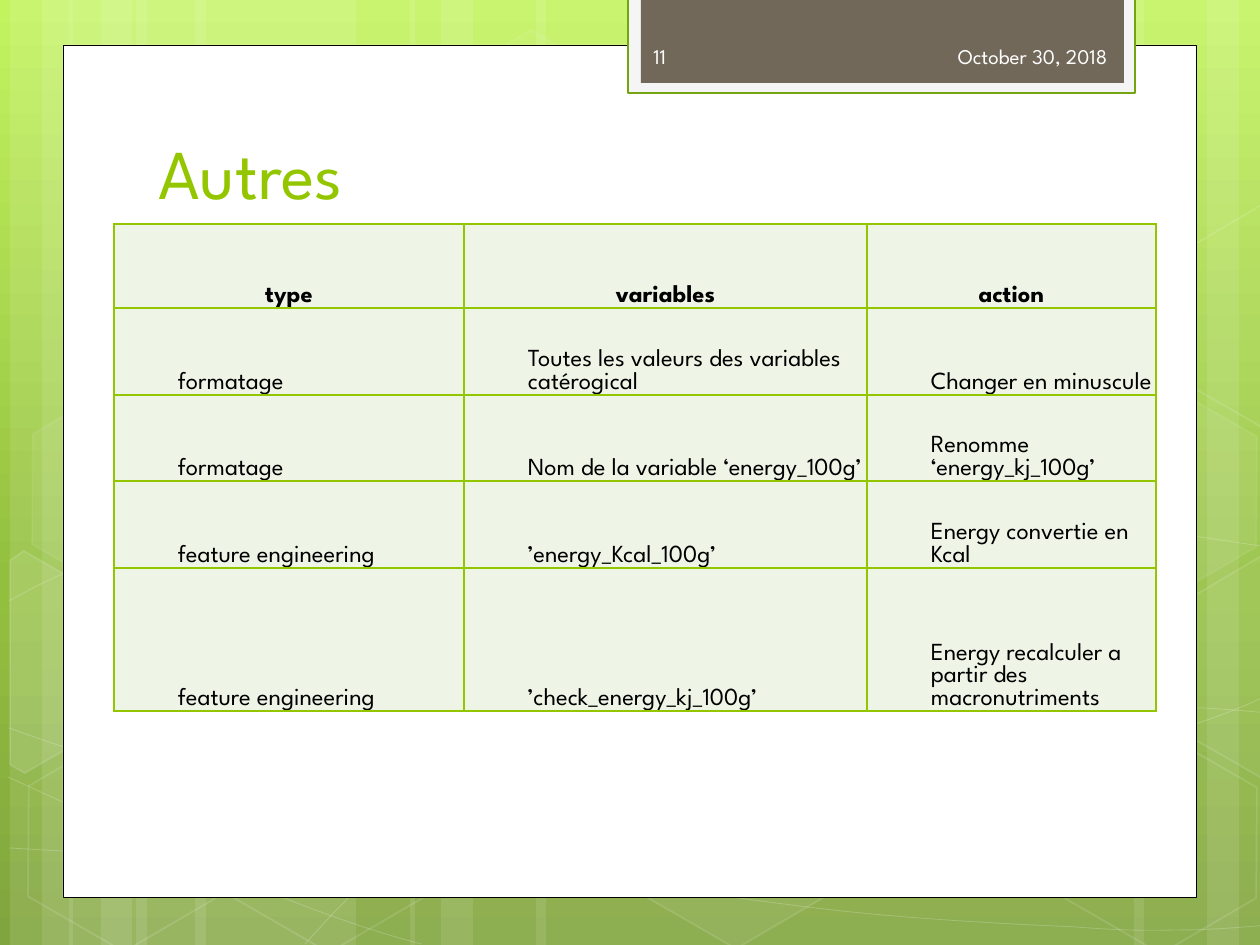
import copy

import pptx
import pptx.dml.color
import pptx.enum.shapes
import pptx.enum.text
import pptx.oxml
import pptx.oxml.ns
import pptx.util

PX = 7257  # EMU in one px, at 126 px to the inch
FONT = "League Spartan"
WHITE, GREEN = "FFFFFF", "94C600"
SHAPE = pptx.enum.shapes.MSO_SHAPE
ALIGN = pptx.enum.text.PP_ALIGN
ANCHOR = pptx.enum.text.MSO_ANCHOR


def paint(shape, fill=None, fill_alpha=100, line=None, width=1, line_alpha=100):
    """Set fill and outline; alphas are percentages of opacity."""
    shape.shadow.inherit = False
    for part, color, alpha in ((shape.fill, fill, fill_alpha),
                               (shape.line.fill, line, line_alpha)):
        if color is None:
            part.background()
            continue
        part.solid()
        part.fore_color.rgb = pptx.dml.color.RGBColor.from_string(color)
        if alpha < 100:
            holder = shape._element.spPr
            if part is not shape.fill:
                holder = holder.find(pptx.oxml.ns.qn("a:ln"))
            color_element = holder.find(pptx.oxml.ns.qn("a:solidFill"))[0]
            color_element.append(pptx.oxml.parse_xml(
                f'<a:alpha {pptx.oxml.ns.nsdecls("a")} val="{alpha * 1000}"/>'))
    if line:
        shape.line.width = pptx.util.Pt(width)


def write(paragraph, text, size, color, align=ALIGN.LEFT, bold=False):
    paragraph.alignment = align
    run = paragraph.add_run()
    run.text = text
    run.font.name = FONT
    run.font.size = pptx.util.Pt(size)
    run.font.bold = bold
    run.font.color.rgb = pptx.dml.color.RGBColor.from_string(color)


presentation = pptx.Presentation()
presentation.slide_width = 1260 * PX
presentation.slide_height = 945 * PX
slide = presentation.slides.add_slide(presentation.slide_layouts[6])
shapes = slide.shapes

# Background gradient, top to bottom
background = slide.background.fill
background.gradient()
background.gradient_angle = 270
stop_list = next(slide.element.iter(pptx.oxml.ns.qn("a:gsLst")))
stop_list.insert(1, copy.deepcopy(stop_list[0]))
gradient = [(0, "C3F35F"), (0.62, "93BF3F"), (1, "81A53E")]
for stop, (position, color) in zip(background.gradient_stops, gradient):
    stop.position = position
    stop.color.rgb = pptx.dml.color.RGBColor.from_string(color)

# Translucent vertical bands: left, width, rotation
bands = [(136, 220, 0), (10, 63, 0), (42, 105, 0), (195, 220, 0), (69, 63, 0),
         (101, 105, 0), (924, 220, 180), (1207, 63, 180), (1134, 105, 180),
         (536, 388, 0), (410, 63, 0), (441, 105, 0)]
for left, width, rotation in bands:
    band = shapes.add_shape(SHAPE.RECTANGLE, left * PX, 0, width * PX, 945 * PX)
    band.rotation = rotation
    paint(band, WHITE, 10)

# Thin curves: a start point, then three Bezier points for each segment
curves = [
    [(9, 848), (77, 852), (145, 856), (239, 854), (334, 853), (451, 851), (577, 838),
     (703, 825), (882, 801), (998, 777), (1113, 753), (1231, 716), (1269, 694)],
    [(9, 601), (45, 581), (82, 562), (152, 543), (224, 524), (326, 496), (437, 488),
     (549, 479), (685, 478), (824, 488), (963, 498), (1193, 537), (1269, 547)],
    [(8, 777), (160, 847), (311, 916), (421, 944)],
    [(9, 728), (48, 742), (88, 756), (161, 776), (234, 795), (344, 827), (450, 848),
     (554, 869), (687, 892), (791, 905), (896, 919), (1008, 924), (1075, 927),
     (1140, 932), (1158, 930), (1191, 930), (1225, 929), (1246, 927), (1269, 925)],
    [(305, 944), (328, 919), (350, 893), (381, 871), (411, 848), (454, 823), (489, 805),
     (524, 788), (546, 780), (592, 767), (638, 754), (722, 737), (766, 728),
     (811, 719), (818, 719), (857, 717), (896, 713), (958, 709), (1000, 708),
     (1045, 707), (1116, 708), (1116, 708), (1144, 708), (1173, 708), (1201, 708),
     (1223, 709), (1245, 711), (1256, 712), (1268, 713), (1264, 712), (1268, 713)],
]
for points in curves:
    builder = shapes.build_freeform(*points[0], scale=PX)
    builder.add_line_segments(points[1:], close=False)
    curve = builder.convert_to_shape()
    outline = next(curve._element.iter(pptx.oxml.ns.qn("a:path")))
    straight_parts = outline.findall(pptx.oxml.ns.qn("a:lnTo"))
    for start in range(0, len(straight_parts), 3):
        bezier = pptx.oxml.parse_xml(f'<a:cubicBezTo {pptx.oxml.ns.nsdecls("a")}/>')
        outline.append(bezier)
        for straight_part in straight_parts[start:start + 3]:
            bezier.append(straight_part[0])
            outline.remove(straight_part)
    paint(curve, None, 100, WHITE, 0.5, 20)

# Hexagons: left, top, fill opacity, line opacity
hexagons = [(421, 45, 4, 8), (626, 742, 6, 12), (14, 745, 0, 12), (18, 393, 7, 8),
            (219, 746, 0, 12), (949, 571, 10, 12), (1051, 747, 0, 12), (1051, 396, 7, 8)]
for left, top, fill_alpha, line_alpha in hexagons:
    hexagon = shapes.add_shape(SHAPE.HEXAGON, left * PX, top * PX, 220 * PX, 192 * PX)
    hexagon.adjustments[0] = 0.285
    hexagon.rotation = 30
    paint(hexagon, WHITE if fill_alpha else None, fill_alpha, WHITE, 1, line_alpha)

# Hexagons cut by the slide edge: left, top, fill opacity, corners before rotation
cut_left = [(0, 15), (7, 0), (119, 0), (174, 97), (119, 192), (102, 192)]
cut_right = [(0, 96), (54, 0), (66, 0), (171, 182), (165, 192), (54, 192)]
cut_hexagons = [(-42, 578, 10, cut_left), (1155, 559, 4, cut_right),
                (1155, 208, 0, cut_right)]
for left, top, fill_alpha, corners in cut_hexagons:
    builder = shapes.build_freeform(*corners[0], scale=PX)
    builder.add_line_segments(corners[1:], close=True)
    hexagon = builder.convert_to_shape(left * PX, top * PX)
    hexagon.rotation = 30
    paint(hexagon, WHITE if fill_alpha else None, fill_alpha, WHITE, 1, 12)

# White page and the tab on its top edge
panels = [(63, 45, 1134, 853, WHITE, "000000", 0.5),
          (628, -3, 507, 96, "F5F5F5", "74A510", 1.25),
          (641, -3, 483, 86, "71685A", None, 0)]
for left, top, width, height, fill, line, line_width in panels:
    panel = shapes.add_shape(SHAPE.RECTANGLE, left * PX, top * PX, width * PX, height * PX)
    paint(panel, fill, 100, line, line_width)

labels = [
    (146, 115, 968, 105, "Autres", 40, GREEN, ALIGN.LEFT, ANCHOR.BOTTOM),
    (827, 31, 293, 50, "October 30, 2018", 12, "FEFEFE", ALIGN.RIGHT, ANCHOR.MIDDLE),
    (641, 31, 184, 50, "11", 12, "FEFEFE", ALIGN.LEFT, ANCHOR.MIDDLE),
]
for left, top, width, height, text, size, color, align, anchor in labels:
    frame = shapes.add_textbox(left * PX, top * PX, width * PX, height * PX).text_frame
    frame.word_wrap = True
    frame.vertical_anchor = anchor
    write(frame.paragraphs[0], text, size, color, align)

# Table
rows = [
    ("type", "variables", "action"),
    ("formatage", "Toutes les valeurs des variables catérogical", "Changer en minuscule"),
    ("formatage", "Nom de la variable ‘energy_100g’", "Renomme\n‘energy_kj_100g’"),
    ("feature engineering", "’energy_Kcal_100g’", "Energy convertie en Kcal"),
    ("feature engineering", "’check_energy_kj_100g’",
     "Energy recalculer a partir des macronutriments"),
]
column_widths = [350, 403, 289]
row_heights = [84, 87, 86, 87, 143]
table = shapes.add_table(len(rows), len(column_widths), 114 * PX, 224 * PX,
                         sum(column_widths) * PX, sum(row_heights) * PX).table
table.first_row = False
table.horz_banding = False
for column, width in zip(table.columns, column_widths):
    column.width = width * PX
for row_index, (row, height) in enumerate(zip(rows, row_heights)):
    table.rows[row_index].height = height * PX
    for column_index, text in enumerate(row):
        cell = table.cell(row_index, column_index)
        cell.vertical_anchor = ANCHOR.BOTTOM
        cell.margin_left = cell.margin_right = cell.margin_top = PX
        cell.margin_bottom = 0
        for side in "LRTB":
            cell._tc.get_or_add_tcPr().append(pptx.oxml.parse_xml(
                f'<a:ln{side} {pptx.oxml.ns.nsdecls("a")} w="12700"><a:solidFill>'
                f'<a:srgbClr val="{GREEN}"/></a:solidFill></a:ln{side}>'))
        cell.fill.solid()
        cell.fill.fore_color.rgb = pptx.dml.color.RGBColor.from_string("EEF5E7")
        for line_index, line in enumerate(text.split("\n")):
            frame = cell.text_frame
            paragraph = frame.add_paragraph() if line_index else frame.paragraphs[0]
            if row_index == 0:
                write(paragraph, line, 14, "000000", ALIGN.CENTER, True)
            else:
                write(paragraph, line, 14, "000000")
                paragraph.level = 1
                paragraph._p.get_or_add_pPr().set("marL", str(63 * PX))
                paragraph._p.get_or_add_pPr().set("indent", "0")

presentation.save("out.pptx")
